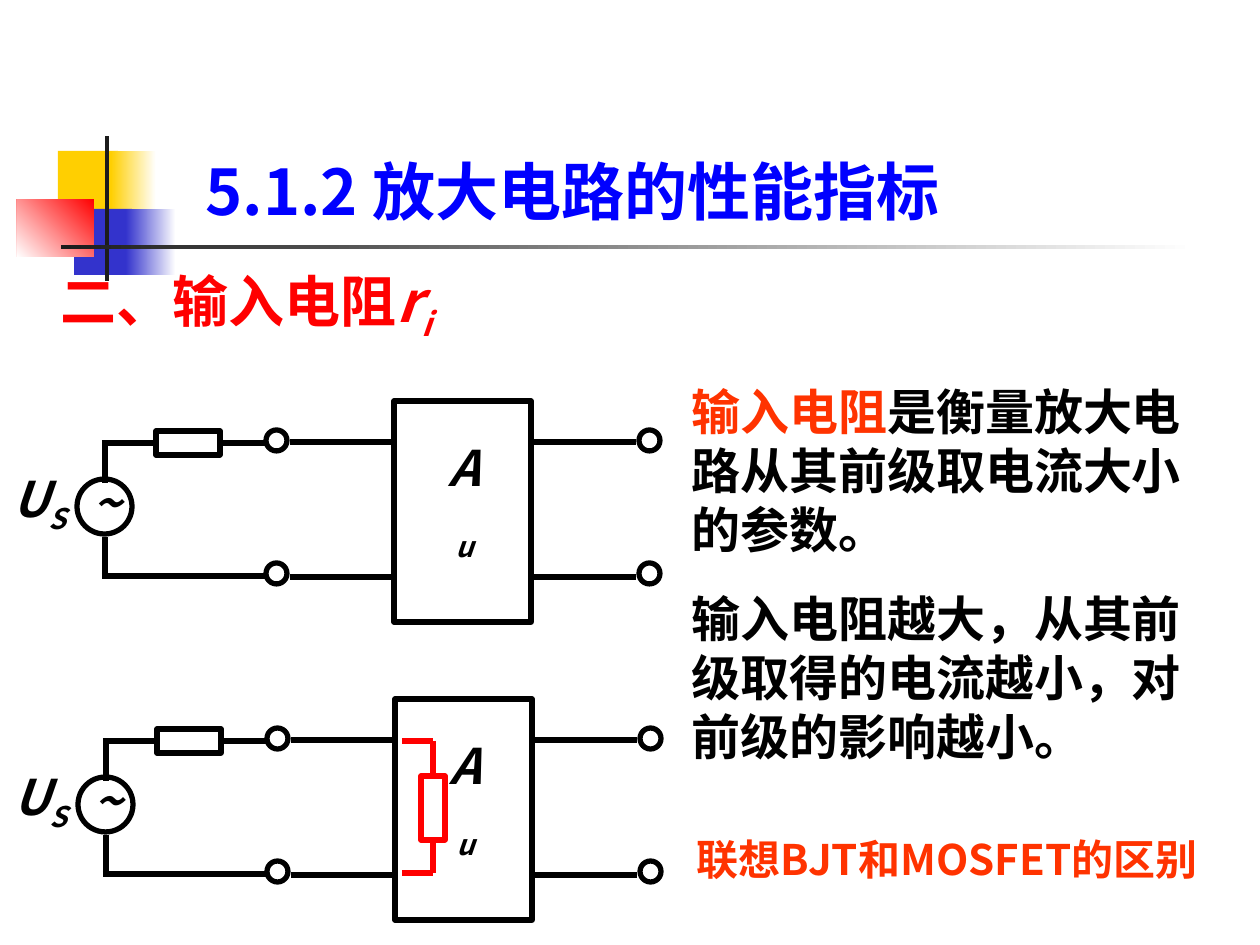
import pptx
import pptx.util
import pptx.dml.color
import pptx.enum.shapes
import pptx.enum.text
import pptx.oxml.ns
import lxml.etree

RGBColor = pptx.dml.color.RGBColor
BLACK = RGBColor(0x00, 0x00, 0x00)
WHITE = RGBColor(0xFF, 0xFF, 0xFF)
RED = RGBColor(0xFF, 0x00, 0x00)
BLUE = RGBColor(0x00, 0x00, 0xFF)
ORANGE = RGBColor(0xFF, 0x33, 0x00)
YELLOW = RGBColor(0xFF, 0xCF, 0x01)
INDIGO = RGBColor(0x33, 0x33, 0xCC)
CHARCOAL = RGBColor(0x1C, 0x1C, 0x1C)

SHAPES = pptx.enum.shapes.MSO_SHAPE
ALIGN = pptx.enum.text.PP_ALIGN
ANCHOR = pptx.enum.text.MSO_ANCHOR


def px(value):
    return pptx.util.Emu(round(value * 914400 / 126))


class SlideBuilder:
    font_name = "Noto Sans CJK SC"
    line_width = pptx.util.Pt(3)

    def __init__(self, slide):
        self.slide = slide

    def shape(self, kind, left, top, width, height, fill=None, line=None):
        shape = self.slide.shapes.add_shape(kind, px(left), px(top), px(width), px(height))
        shape.shadow.inherit = False
        if fill is None:
            shape.fill.background()
        else:
            shape.fill.solid()
            shape.fill.fore_color.rgb = fill
        if line is None:
            shape.line.fill.background()
        else:
            shape.line.color.rgb = line
            shape.line.width = self.line_width
        return shape

    def gradient(self, left, top, width, height, color, angle=0):
        shape = self.shape(SHAPES.RECTANGLE, left, top, width, height)
        shape.fill.gradient()
        shape.fill.gradient_angle = angle
        for stop, stop_color in zip(shape.fill.gradient_stops, (color, WHITE)):
            stop.color.rgb = stop_color

    def line(self, x1, y1, x2, y2, color=BLACK):
        connector = self.slide.shapes.add_connector(
            pptx.enum.shapes.MSO_CONNECTOR.STRAIGHT, px(x1), px(y1), px(x2), px(y2))
        connector.line.color.rgb = color
        connector.line.width = self.line_width
        properties = connector._element.spPr
        lxml.etree.SubElement(properties, pptx.oxml.ns.qn("a:effectLst"))
        return connector

    def run(self, paragraph, text, size, color, italic=False, subscript=False):
        run = paragraph.add_run()
        run.text = text
        run.font.size = pptx.util.Pt(size)
        run.font.bold = True
        run.font.italic = italic
        run.font.color.rgb = color
        run.font.name = self.font_name
        properties = run.font._element
        east_asian = lxml.etree.SubElement(properties, pptx.oxml.ns.qn("a:ea"))
        east_asian.set("typeface", self.font_name)
        if subscript:
            properties.set("baseline", "-25000")

    def text(self, left, top, width, height, paragraphs, size, align=ALIGN.LEFT,
             anchor=ANCHOR.TOP, space=0, holder=None):
        if holder is None:
            holder = self.slide.shapes.add_textbox(0, 0, px(width), px(height))
        holder.left, holder.top = px(left), px(top)
        holder.width, holder.height = px(width), px(height)
        frame = holder.text_frame
        frame.word_wrap = True
        frame.auto_size = pptx.enum.text.MSO_AUTO_SIZE.SHAPE_TO_FIT_TEXT
        frame.vertical_anchor = anchor
        for index, runs in enumerate(paragraphs):
            paragraph = frame.add_paragraph() if index else frame.paragraphs[0]
            properties = paragraph._p.get_or_add_pPr()
            properties.set("marL", "0")
            properties.set("indent", "0")
            lxml.etree.SubElement(properties, pptx.oxml.ns.qn("a:buNone"))
            paragraph.alignment = align
            paragraph.space_before = pptx.util.Pt(space if index else 0)
            for run in runs:
                self.run(paragraph, run[0], size, *run[1:])

    def symbol(self, left, top, width, height, letter, index):
        self.text(left, top, width, height,
                  [[(letter, BLACK, True), (index, BLACK, True, True)]],
                  28, ALIGN.CENTER, ANCHOR.MIDDLE)

    def circuit(self, x, y):
        self.shape(SHAPES.RECTANGLE, x + 394, y + 401, 137, 221, line=BLACK)
        for wire_y, terminal_y in ((442, 430), (577, 563)):
            for start, end, terminal_x in ((290, 394, 266), (531, 636, 639)):
                self.line(x + start, y + wire_y, x + end, y + wire_y)
                self.shape(SHAPES.OVAL, x + terminal_x, y + terminal_y, 21, 21, line=BLACK)
        self.symbol(x + 429, y + 461, 71, 79, "A", "u")

        for wire_y in (443, 576):
            self.line(x + 102, y + wire_y, x + 267, y + wire_y)
        self.shape(SHAPES.RECTANGLE, x + 156, y + 431, 64, 24, WHITE, BLACK)
        self.shape(SHAPES.OVAL, x + 77, y + 479, 55, 55, line=BLACK)
        self.text(x + 79, y + 466, 59, 72, [[("~", BLACK, True)]], 28, anchor=ANCHOR.MIDDLE)
        for start, end in ((442, 483), (537, 578)):
            self.line(x + 105, y + start, x + 105, y + end)
        self.symbol(x - 26, y + 462, 131, 79, "U", "S")

    def input_resistance(self):
        resistor = self.shape(SHAPES.RECTANGLE, 421, 776, 24, 64, WHITE, RED)
        for wire_y, resistor_y, site in ((741, 776, 0), (873, 840, 2)):
            self.line(402, wire_y, 433, wire_y, RED)
            lead = self.line(433, wire_y, 433, resistor_y, RED)
            lead.end_connect(resistor, site)

    def decoration(self):
        self.shape(SHAPES.RECTANGLE, 58, 151, 60, 66, YELLOW)
        self.gradient(111, 151, 45, 66, YELLOW)
        self.shape(SHAPES.RECTANGLE, 74, 209, 58, 66, INDIGO)
        self.gradient(126, 209, 50, 66, INDIGO)
        self.gradient(17, 199, 77, 58, RED, 225)
        self.shape(SHAPES.RECTANGLE, 105, 136, 4, 145, CHARCOAL)
        self.gradient(61, 245, 1134, 4, CHARCOAL)


def main():
    presentation = pptx.Presentation()
    presentation.slide_width = px(1260)
    presentation.slide_height = px(945)
    slide = presentation.slides.add_slide(presentation.slide_layouts[1])
    title, body = slide.placeholders
    builder = SlideBuilder(slide)

    builder.decoration()
    builder.text(193, 146, 868, 88, [[("5.1.2 放大电路的性能指标", BLUE)]], 36, holder=title)
    builder.text(48, 260, 483, 89,
                 [[("二、输入电阻", RED), ("r", RED, True), ("i", RED, True, True)]],
                 32, anchor=ANCHOR.MIDDLE)
    builder.circuit(0, 0)
    builder.circuit(1, 298)
    builder.input_resistance()
    builder.text(679, 375, 561, 397,
                 [[("输入电阻", ORANGE), ("是衡量放大电路从其前级取电流大小的参数。", BLACK)],
                  [("输入电阻越大，从其前级取得的电流越小，对前级的影响越小。", BLACK)]],
                 28, space=17.5, holder=body)
    builder.text(684, 827, 561, 113, [[("联想BJT和MOSFET的区别", ORANGE)]], 24)
    presentation.save("out.pptx")


if __name__ == "__main__":
    main()
